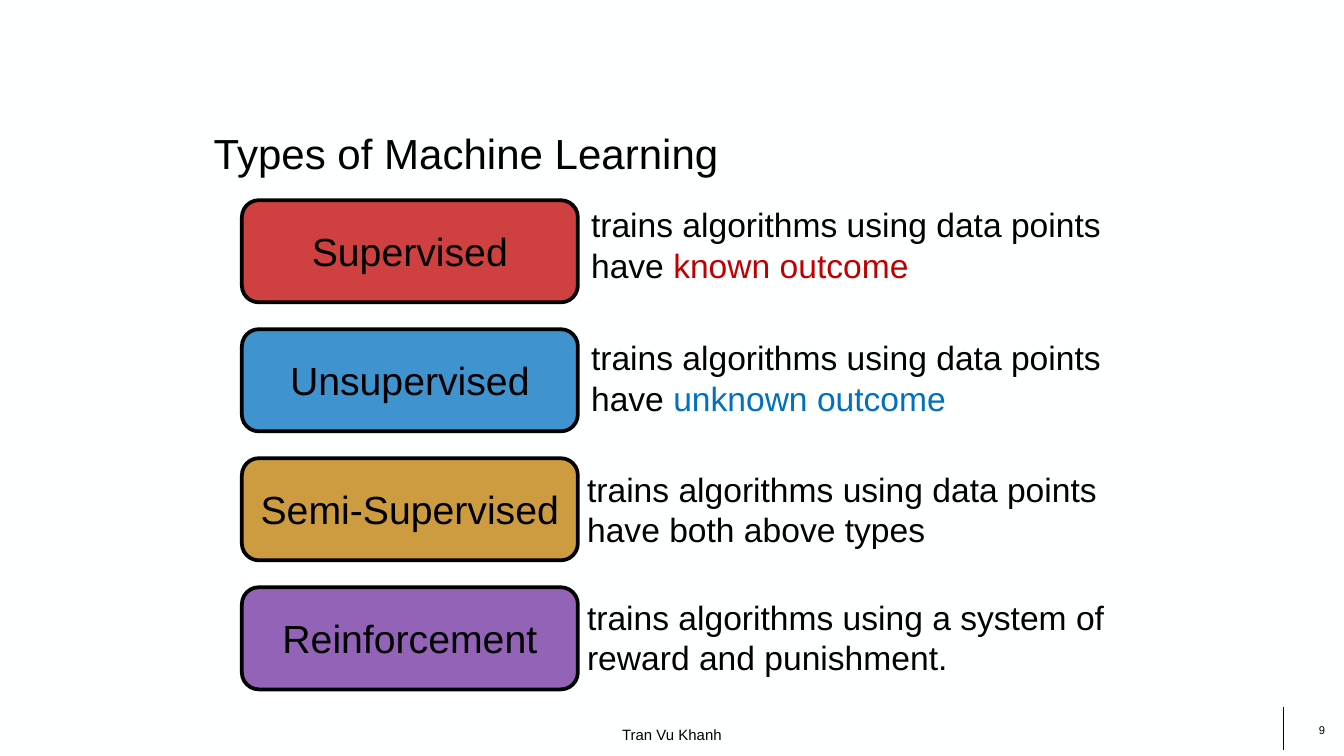
import pptx
import pptx.util
import pptx.dml.color
import pptx.enum.shapes
import pptx.enum.text
import pptx.oxml.ns
import lxml.etree

Inches = pptx.util.Inches
Pt = pptx.util.Pt
ALIGN = pptx.enum.text.PP_ALIGN
ANCHOR = pptx.enum.text.MSO_ANCHOR

COLORS = {
    "background": "FEFFFF",
    "black": "000000",
    "red": "C00000",
    "blue": "0070C0",
    "gold": "BF7B00",
    "purple": "7030A0",
}

ROW_PITCH = 0.96
LABEL_W, LABEL_H = 2.5, 0.76

TYPES = [
    ("Supervised", "red", "trains algorithms using data points have ",
     "known outcome", (2.5, -0.02, 4.33)),
    ("Unsupervised", "blue", "trains algorithms using data points have ",
     "unknown outcome", (2.5, 0.01, 4.23)),
    ("Semi-Supervised", "gold", "trains algorithms using data points have both above types",
     "", (2.47, 0.03, 4.48)),
    ("Reinforcement", "purple", "trains algorithms using a system of reward and punishment.",
     "", (2.47, 0.02, 4.23)),
]


def rgb(name):
    return pptx.dml.color.RGBColor.from_string(COLORS[name])


def style_run(r, size, color="black"):
    r.font.name = "Arial"
    r.font.size = Pt(size)
    r.font.color.rgb = rgb(color)


def set_frame(tf, insets=(0.1, 0.05), anchor=ANCHOR.TOP):
    tf.word_wrap = True
    tf.auto_size = pptx.enum.text.MSO_AUTO_SIZE.NONE
    tf.vertical_anchor = anchor
    tf.margin_left = tf.margin_right = Inches(insets[0])
    tf.margin_top = tf.margin_bottom = Inches(insets[1])


def set_text(tf, text, size, align):
    tf.text = text
    p = tf.paragraphs[0]
    p.alignment = align
    style_run(p.runs[0], size)
    return p


def add_text(slide, box, text, size, align=ALIGN.LEFT, **frame):
    sp = slide.shapes.add_textbox(*map(Inches, box))
    set_frame(sp.text_frame, **frame)
    return set_text(sp.text_frame, text, size, align)


def place_title(slide, box, text):
    sp = slide.shapes.title
    sp.left, sp.top, sp.width, sp.height = map(Inches, box)
    set_frame(sp.text_frame, insets=(0, 0))
    p = set_text(sp.text_frame, text, 22.5, ALIGN.LEFT)
    p._p.get_or_add_pPr().set("marL", str(Inches(0.01)))
    p.line_spacing = 1.0
    p.space_before = Pt(0)


def add_label(slide, box, text, color):
    sp = slide.shapes.add_shape(
        pptx.enum.shapes.MSO_SHAPE.ROUNDED_RECTANGLE, *map(Inches, box))
    sp.shadow.inherit = False
    sp.fill.solid()
    sp.fill.fore_color.rgb = rgb(color)
    clr = sp._element.spPr.find(".//" + pptx.oxml.ns.qn("a:srgbClr"))
    lxml.etree.SubElement(clr, pptx.oxml.ns.qn("a:alpha"), val="75000")
    sp.line.color.rgb = rgb("black")
    sp.line.width = Pt(2)
    set_frame(sp.text_frame, anchor=ANCHOR.MIDDLE)
    set_text(sp.text_frame, text, 21, ALIGN.CENTER)


def add_types(slide, left, top):
    for i, (name, color, text, outcome, (dx, dy, width)) in enumerate(TYPES):
        y = top + i * ROW_PITCH
        add_label(slide, (left, y, LABEL_W, LABEL_H), name, color)
        p = add_text(slide, (left + dx, y + dy, width, 0.71), text, 18)
        if outcome:
            r = p.add_run()
            r.text = outcome
            style_run(r, 18, color)


def add_footer(slide, top):
    line = slide.shapes.add_connector(
        pptx.enum.shapes.MSO_CONNECTOR.STRAIGHT,
        *map(Inches, (9.55, top + 0.01, 9.55, top + 0.33)))
    line.line.color.rgb = rgb("black")
    line.line.width = Pt(0.75)
    lxml.etree.SubElement(line._element.spPr, pptx.oxml.ns.qn("a:effectLst"))
    add_text(slide, (3.81, top + 0.08, 2.38, 0.27), "Tran Vu Khanh", 8,
             ALIGN.CENTER, anchor=ANCHOR.MIDDLE)
    add_text(slide, (8.41, top, 1.45, 0.37), "9", 6,
             ALIGN.RIGHT, insets=(0, 0), anchor=ANCHOR.MIDDLE)


def main():
    prs = pptx.Presentation()
    prs.slide_width = Inches(10)
    prs.slide_height = prs.slide_width * 9 // 16
    slide = prs.slides.add_slide(prs.slide_layouts[5])
    slide.background.fill.solid()
    slide.background.fill.fore_color.rgb = rgb("background")
    place_title(slide, (1.58, 0.95, 6.92, 0.38), "Types of Machine Learning")
    add_types(slide, 1.8, 1.49)
    add_footer(slide, 5.25)
    prs.save("out.pptx")


if __name__ == "__main__":
    main()
